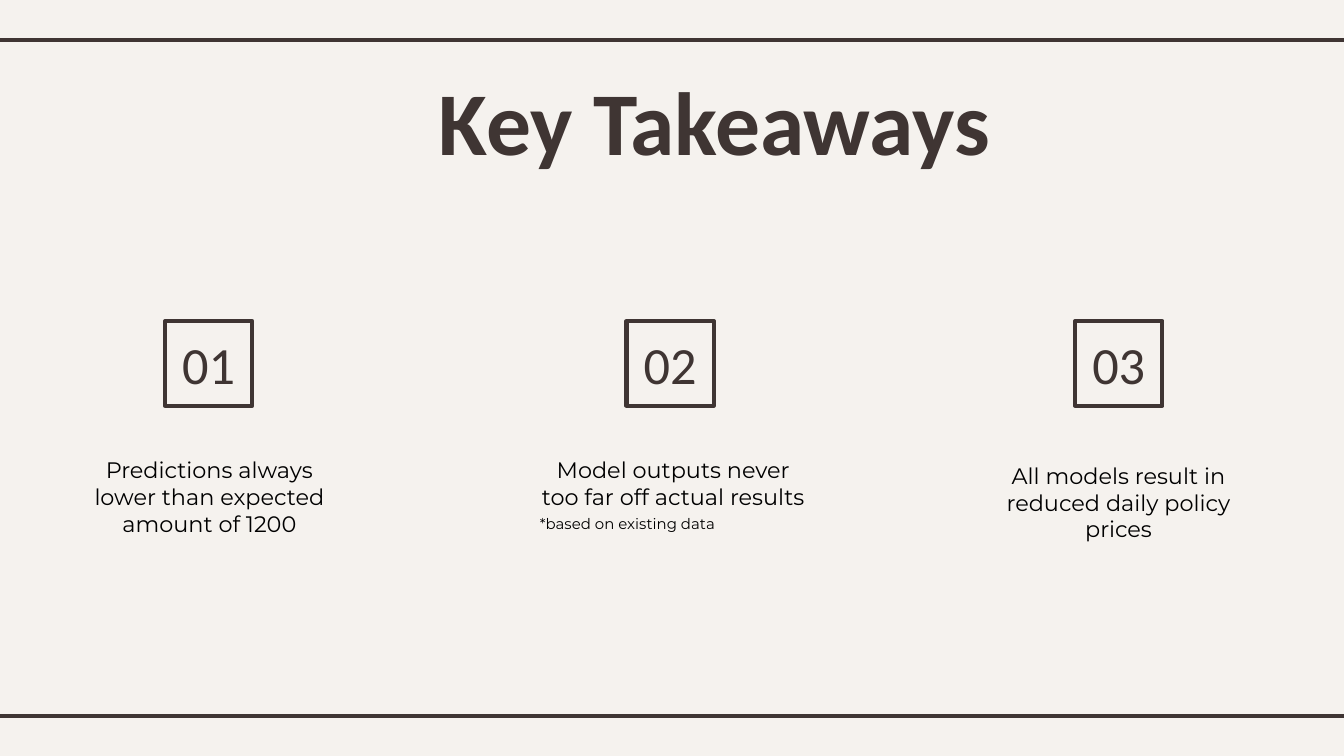
"""Build the Key Takeaways slide with three numbered findings."""
from dataclasses import dataclass

from lxml import etree
from pptx import Presentation
from pptx import util as u
from pptx.dml.color import RGBColor
from pptx.enum import shapes, text
from pptx.oxml import ns

CREAM, BROWN, BLACK = "F5F2EE", "3F3533", "000000"
BADGE_TOP, BADGE_WIDTH, BADGE_HEIGHT = 6.07, 1.65, 1.6


@dataclass(frozen=True)
class Takeaway:
    number: str
    finding: str
    badge_left: float
    left: float
    top: float
    width: float
    height: float


TAKEAWAYS = (
    Takeaway("01", "Predictions always lower than expected amount of 1200",
             3.12, 1.32, 8.38, 5.28, 2.03),
    Takeaway("02", "Model outputs never too far off actual results",
             11.84, 9.93, 8.38, 5.59, 2.03),
    Takeaway("03", "All models result in reduced daily policy prices",
             20.32, 18.75, 8.48, 4.78, 1.6),
)


def color(value: str) -> RGBColor:
    return RGBColor.from_string(value)


def add_text(parent, words: str, left: float, top: float, width: float, height: float, *,
             size: float, font: str = "Montserrat", ink: str = BLACK, bold: bool = False,
             anchor=text.MSO_ANCHOR.TOP) -> None:
    box = parent.add_textbox(u.Cm(left), u.Cm(top), u.Cm(width), u.Cm(height))
    frame = box.text_frame
    frame.word_wrap = True
    frame.vertical_anchor = anchor
    frame.margin_left = frame.margin_right = u.Cm(0.25)
    frame.margin_top = frame.margin_bottom = u.Cm(0.25)
    paragraph = frame.paragraphs[0]
    paragraph.alignment = text.PP_ALIGN.CENTER
    run = paragraph.add_run()
    run.text = words
    run.font.name = font
    run.font.size = u.Pt(size)
    run.font.bold = bold
    run.font.color.rgb = color(ink)


def add_rule(slide, y: float) -> None:
    rule = slide.shapes.add_connector(
        shapes.MSO_CONNECTOR.STRAIGHT, u.Cm(-0.2), u.Cm(y), u.Cm(25.6), u.Cm(y))
    rule.line.color.rgb = color(BROWN)
    rule.line.width = u.Pt(2.25)
    etree.SubElement(rule._element.spPr, ns.qn("a:effectLst"))


def add_badge(slide, number: str, left: float) -> None:
    badge = slide.shapes.add_group_shape().shapes
    square = badge.add_shape(shapes.MSO_SHAPE.RECTANGLE, u.Cm(left), u.Cm(BADGE_TOP),
                             u.Cm(BADGE_WIDTH), u.Cm(BADGE_HEIGHT))
    square.shadow.inherit = False
    square.fill.solid()
    square.fill.fore_color.rgb = color(CREAM)
    square.line.color.rgb = color(BROWN)
    square.line.width = u.Pt(2.25)
    etree.SubElement(square.line._get_or_add_ln(), ns.qn("a:round"))
    add_text(badge, number, left - 0.08, BADGE_TOP + 0.23, BADGE_WIDTH + 0.16, 1.14,
             size=28, font="Calibri", ink=BROWN, anchor=text.MSO_ANCHOR.MIDDLE)


def add_takeaway(slide, takeaway: Takeaway) -> None:
    add_badge(slide, takeaway.number, takeaway.badge_left)
    add_text(slide.shapes, takeaway.finding, takeaway.left, takeaway.top,
             takeaway.width, takeaway.height, size=12)


def main() -> None:
    deck = Presentation()
    deck.slide_width, deck.slide_height = u.Cm(25.4), u.Cm(14.29)
    slide = deck.slides.add_slide(deck.slide_layouts[6])
    slide.background.fill.solid()
    slide.background.fill.fore_color.rgb = color(CREAM)

    for y in (0.76, 13.54):
        add_rule(slide, y)
    add_text(slide.shapes, "Key Takeaways", 7.47, 0.99, 12.07, 2.49,
             size=48, font="Calibri", ink=BROWN, bold=True)
    for takeaway in TAKEAWAYS:
        add_takeaway(slide, takeaway)
    add_text(slide.shapes, "*based on existing data", 9.22, 9.55, 5.28, 0.94, size=8)

    deck.save("out.pptx")


if __name__ == "__main__":
    main()
